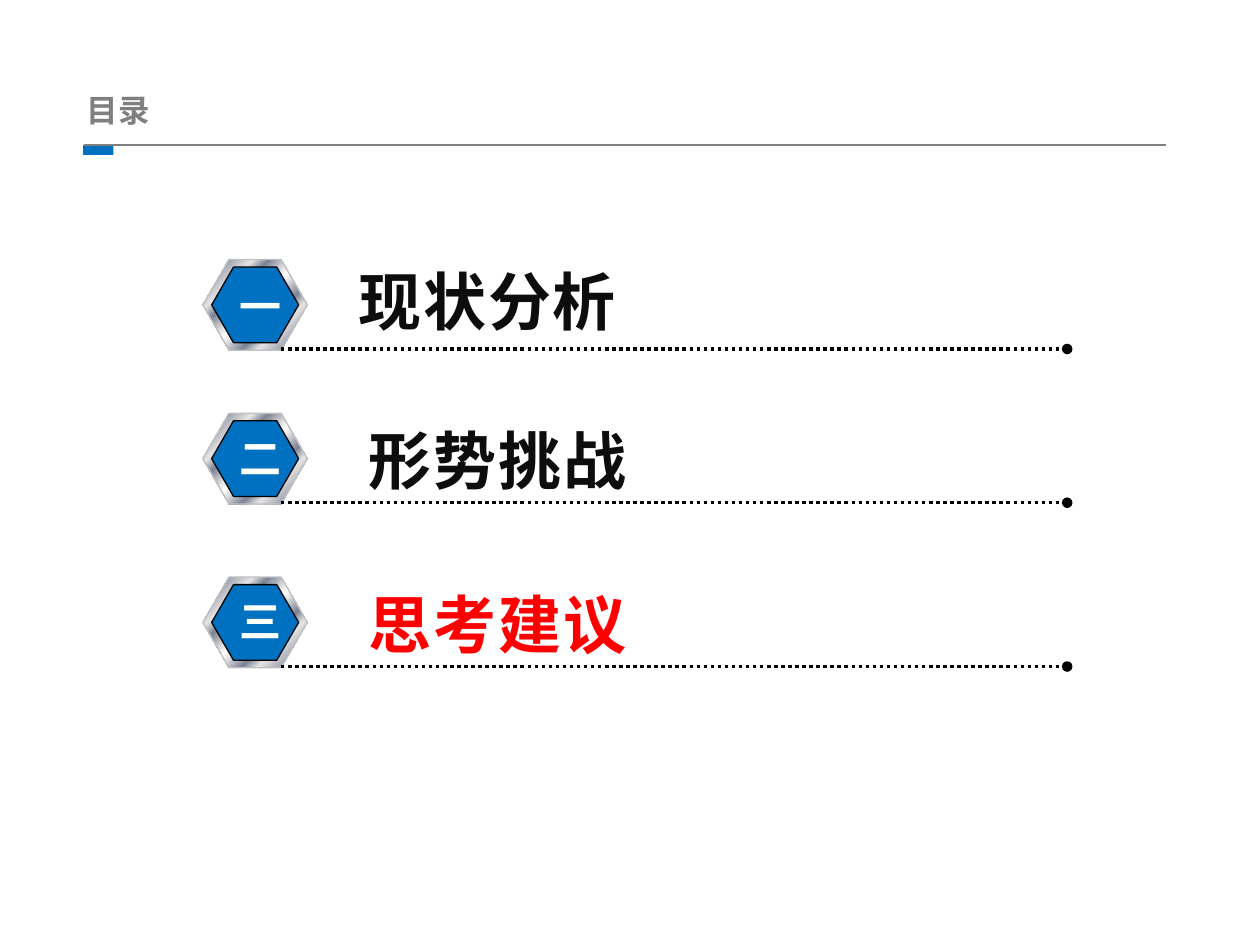
"""Builds a contents slide with three numbered hexagon entries."""
from dataclasses import dataclass

import pptx
import pptx.dml.color
import pptx.enum.dml
import pptx.enum.shapes
import pptx.enum.text
import pptx.oxml
import pptx.oxml.ns
import pptx.util
from lxml import etree

Inches = pptx.util.Inches
Pt = pptx.util.Pt
qn = pptx.oxml.ns.qn
SHAPE = pptx.enum.shapes.MSO_SHAPE
ANCHOR = pptx.enum.text.MSO_ANCHOR
ALIGN = pptx.enum.text.PP_ALIGN
FIT = pptx.enum.text.MSO_AUTO_SIZE


@dataclass(frozen=True)
class Theme:
    font: str = "Noto Sans CJK SC"
    blue: str = "0070C0"
    black: str = "000000"
    ink: str = "0D0D0D"
    red: str = "FF0000"
    white: str = "FFFFFF"
    title: str = "7F7F7F"
    rule: str = "808080"
    rim: str = "C0C0C0"
    silver: str = "E6E6E6"
    steel: str = "7D8496"
    title_size: int = 18
    number_size: int = 24
    entry_size: int = 36


THEME = Theme()
METAL = [(0, THEME.silver), (8, THEME.steel), (26, THEME.silver),
         (34, THEME.steel), (46, THEME.silver), (50, THEME.white),
         (54, THEME.silver), (66, THEME.steel), (74, THEME.silver),
         (92, THEME.steel), (100, THEME.silver)]
ENTRIES = [
    ("一", "现状分析", THEME.ink, 2.06, (2.75, 5.4), ANCHOR.MIDDLE, 0.12),
    ("二", "形势挑战", THEME.ink, 3.28, (2.83, 5.24), ANCHOR.TOP, 0.1),
    ("三", "思考建议", THEME.red, 4.58, (2.83, 5.24), ANCHOR.TOP, 0.1),
]


def rgb(value):
    return pptx.dml.color.RGBColor.from_string(value)


def set_attrs(obj, values):
    for name, value in values.items():
        setattr(obj, name, value)


def write_text(sp, text, size, color, frame, para, spacing=None):
    """Write one bold run into a shape and format its frame and paragraph."""
    tf = sp.text_frame
    set_attrs(tf, frame)
    p = tf.paragraphs[0]
    set_attrs(p, para)
    r = p.add_run()
    r.text = text
    set_attrs(r.font, {"size": Pt(size), "bold": True, "name": THEME.font})
    r.font.color.rgb = rgb(color)
    rpr = r._r.get_or_add_rPr()
    etree.SubElement(rpr, qn("a:ea"), typeface=THEME.font)
    if spacing:
        rpr.set("spc", str(spacing * 100))


def add_text(shapes, box, *args, **kwargs):
    sp = shapes.add_textbox(*map(Inches, box))
    write_text(sp, *args, **kwargs)


def add_block(shapes, kind, box, fill=None, line=None):
    """Add a flat preset shape with an optional solid fill and outline."""
    sp = shapes.add_shape(kind, *map(Inches, box))
    sp.shadow.inherit = False
    if fill:
        sp.fill.solid()
        sp.fill.fore_color.rgb = rgb(fill)
    if line:
        sp.line.color.rgb = rgb(line)
        sp.line.width = Pt(0.75)
    else:
        sp.line.fill.background()
    return sp


def add_hexagon(shapes, box, fill, line):
    sp = add_block(shapes, SHAPE.HEXAGON, box, fill, line)
    sp.adjustments[0] = 0.289
    sp.adjustments[1] = 1.155
    return sp


def fill_metal(sp):
    """Give a shape the brushed metal gradient."""
    sp.fill.gradient()
    sp.fill.gradient_angle = 315
    stops = sp._element.spPr.find(qn("a:gradFill")).find(qn("a:gsLst"))
    for old in list(stops):
        stops.remove(old)
    for pos, color in METAL:
        gs = etree.SubElement(stops, qn("a:gs"), pos=str(pos * 1000))
        etree.SubElement(gs, qn("a:srgbClr"), val=color)


def add_line(shapes, x1, x2, y, color, width, dotted=False):
    """Add a level line, optionally dotted with a round end."""
    cx = shapes.add_connector(pptx.enum.shapes.MSO_CONNECTOR.STRAIGHT,
                              Inches(x1), Inches(y), Inches(x2), Inches(y))
    cx.line.color.rgb = rgb(color)
    cx.line.width = Pt(width)
    if dotted:
        cx.line.dash_style = pptx.enum.dml.MSO_LINE.ROUND_DOT
        etree.SubElement(cx.line._get_or_add_ln(), qn("a:tailEnd"), type="oval")
    etree.SubElement(cx._element.spPr, qn("a:effectLst"))


def add_title(s, text):
    sp = s.shapes.title
    set_attrs(sp, {"left": Inches(0.59), "top": Inches(0.68),
                   "width": Inches(2.83), "height": Inches(0.39)})
    write_text(sp, text, THEME.title_size, THEME.title,
               {"word_wrap": False, "auto_size": FIT.NONE,
                "vertical_anchor": ANCHOR.MIDDLE},
               {"alignment": ALIGN.LEFT})


def add_entry(s, number, text, color, top, span, anchor, number_drop):
    """Add one grouped entry: label, hexagon badge, dotted line and number."""
    shapes = s.shapes.add_group_shape().shapes
    left, width = span
    frame = {"word_wrap": True, "auto_size": FIT.SHAPE_TO_FIT_TEXT}
    add_text(shapes, (left, top - 0.28, width, 0.9), text, THEME.entry_size,
             color, {**frame, "vertical_anchor": anchor},
             {"line_spacing": 1.5}, spacing=1)
    fill_metal(add_hexagon(shapes, (1.61, top, 0.83, 0.72), None, THEME.rim))
    add_hexagon(shapes, (1.68, top + 0.06, 0.69, 0.6), THEME.blue, THEME.black)
    add_line(shapes, 2.23, 8.47, top + 0.71, THEME.black, 2, dotted=True)
    add_text(shapes, (1.8, top + number_drop, 0.47, 0.5), number,
             THEME.number_size, THEME.white, frame,
             {"alignment": ALIGN.CENTER})


def main():
    prs = pptx.Presentation()
    prs.slide_width, prs.slide_height = Inches(10), Inches(7.5)
    s = prs.slides.add_slide(prs.slide_layouts[5])
    add_title(s, "目录")
    add_block(s.shapes, SHAPE.RECTANGLE, (0.66, 1.15, 0.24, 0.08), THEME.blue)
    add_line(s.shapes, 0.67, 9.25, 1.15, THEME.rule, 0.75)
    for entry in ENTRIES:
        add_entry(s, *entry)
    prs.save("out.pptx")


if __name__ == "__main__":
    main()
